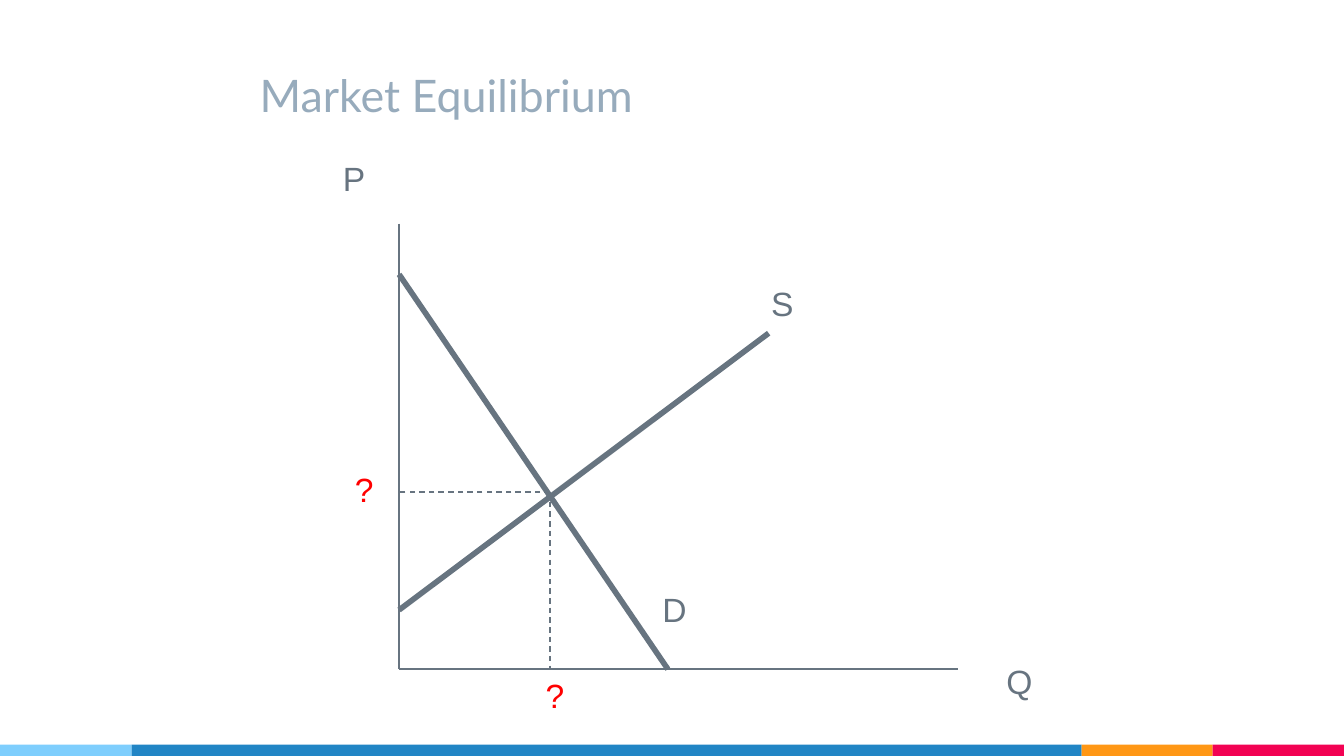
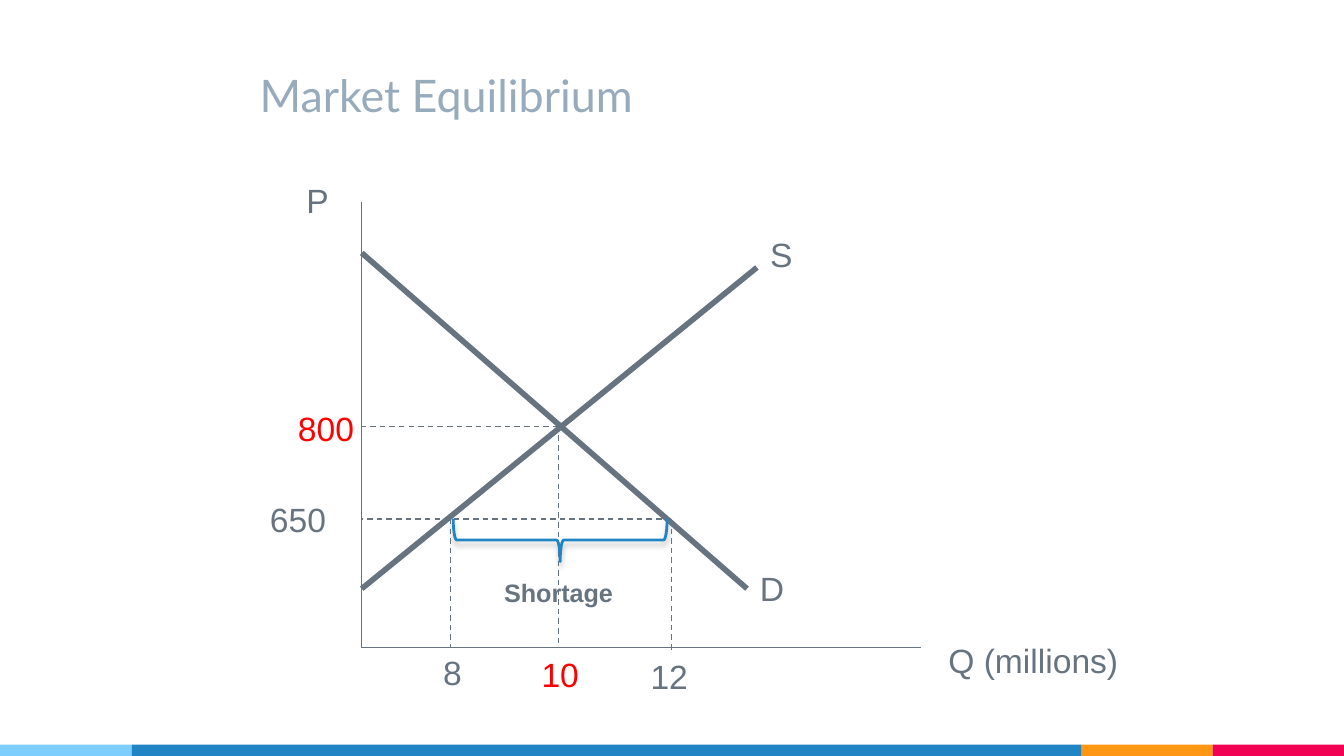
import dataclasses

import lxml.etree
import pptx
import pptx.dml.color
import pptx.enum.dml
import pptx.enum.shapes
import pptx.enum.text
import pptx.oxml.ns
import pptx.util

Pt = pptx.util.Pt
qn = pptx.oxml.ns.qn
SHAPES = pptx.enum.shapes.MSO_SHAPE


@dataclasses.dataclass(frozen=True)
class Theme:
    ink: str = "677480"
    unknown: str = "FF0000"
    title: str = "97ABBC"
    sky: str = "7ECEFD"
    blue: str = "2185C5"
    orange: str = "FF9715"
    pink: str = "F20253"
    shadow: str = "808080"
    title_font: str = "Lato"
    body_font: str = "Arial"
    title_size: float = 24
    label_size: float = 18
    note_size: float = 13.5
    thin: float = 0.75
    brace_line: float = 1.5
    thick: float = 3


THEME = Theme()
SLIDE_WIDTH, SLIDE_HEIGHT = 720, 405
BAND_HEIGHT = 6
BAND_EDGES = (0, 70.5, 579.5, 649.6, SLIDE_WIDTH)
BAND_COLORS = (THEME.sky, THEME.blue, THEME.orange, THEME.pink)
LABEL_HEIGHT = 29


def rgb(value):
    return pptx.dml.color.RGBColor.from_string(value)


def set_all(target, values):
    for attribute, value in values.items():
        setattr(target, attribute, value)


def add_text(slide, text, box, font, frame_format, align=None):
    frame = slide.shapes.add_textbox(*map(Pt, box)).text_frame
    set_all(frame, frame_format)
    paragraph = frame.paragraphs[0]
    paragraph.alignment = align
    run = paragraph.add_run()
    run.text = text
    color = font.pop("color")
    set_all(run.font, font)
    run.font.color.rgb = rgb(color)


def add_title(slide, text):
    font = {"name": THEME.title_font, "size": Pt(THEME.title_size), "color": THEME.title}
    margins = {f"margin_{side}": Pt(7.2) for side in ("left", "top", "right", "bottom")}
    frame_format = {"word_wrap": True,
                    "vertical_anchor": pptx.enum.text.MSO_ANCHOR.BOTTOM, **margins}
    add_text(slide, text, (132, 13.7, 475, 58.3), font, frame_format)


def add_label(slide, text, left, top, width, color=THEME.ink):
    font = {"name": THEME.body_font, "size": Pt(THEME.label_size), "color": color}
    frame_format = {"word_wrap": False,
                    "auto_size": pptx.enum.text.MSO_AUTO_SIZE.SHAPE_TO_FIT_TEXT}
    add_text(slide, text, (left, top, width, LABEL_HEIGHT), font, frame_format)


def add_note(slide, text, box):
    font = {"name": THEME.body_font, "size": Pt(THEME.note_size),
            "bold": True, "color": THEME.ink}
    add_text(slide, text, box, font, {"word_wrap": True},
             pptx.enum.text.PP_ALIGN.CENTER)


def add_line(slide, start, end, width=THEME.thin, dash=None):
    line = slide.shapes.add_connector(
        pptx.enum.shapes.MSO_CONNECTOR.STRAIGHT, *map(Pt, (*start, *end)))
    line.line.color.rgb = rgb(THEME.ink)
    set_all(line.line, {"width": Pt(width), "dash_style": dash})
    lxml.etree.SubElement(line._element.spPr, qn("a:effectLst"))


def add_curve(slide, start, end):
    add_line(slide, start, end, THEME.thick)


def add_guide(slide, start, end):
    add_line(slide, start, end, dash=pptx.enum.dml.MSO_LINE.DASH)


def add_axes(slide, origin, top, right):
    add_line(slide, (origin[0], top), origin)
    add_line(slide, origin, (right, origin[1]))


def add_brace(slide, box):
    """Draw a brace that opens upwards and casts a soft shadow."""
    brace = slide.shapes.add_shape(SHAPES.LEFT_BRACE, *map(Pt, box))
    brace.rotation = 270
    brace.adjustments[0] = 0.083
    brace.fill.background()
    brace.line.color.rgb = rgb(THEME.blue)
    brace.line.width = Pt(THEME.brace_line)
    brace.shadow.inherit = False
    effects = brace._element.spPr.find(qn("a:effectLst"))
    shadow = lxml.etree.SubElement(
        effects, qn("a:outerShdw"), blurRad=str(Pt(3)), dist=str(Pt(2.4)),
        dir="5400000", rotWithShape="0")
    color = lxml.etree.SubElement(shadow, qn("a:srgbClr"), val=THEME.shadow)
    lxml.etree.SubElement(color, qn("a:alpha"), val="45000")


def add_bands(slide):
    for left, right, color in zip(BAND_EDGES, BAND_EDGES[1:], BAND_COLORS):
        band = slide.shapes.add_shape(
            SHAPES.RECTANGLE, Pt(left), Pt(SLIDE_HEIGHT - BAND_HEIGHT),
            Pt(right - left), Pt(BAND_HEIGHT))
        band.shadow.inherit = False
        band.fill.solid()
        band.fill.fore_color.rgb = rgb(color)
        band.line.fill.background()


def new_slide(deck, title):
    slide = deck.slides.add_slide(deck.slide_layouts[6])
    add_bands(slide)
    add_title(slide, title)
    return slide


def build_unknown_equilibrium(deck):
    slide = new_slide(deck, "Market Equilibrium")
    origin = axis_x, axis_y = 213.8, 358.5
    balance = balance_x, balance_y = 294.6, 263.7
    add_axes(slide, origin, top=119.8, right=513.4)
    add_curve(slide, (axis_x, 147), (357.8, axis_y))
    add_curve(slide, (axis_x, 326.8), (411.8, 178.5))
    add_guide(slide, balance, (balance_x, axis_y))
    add_guide(slide, balance, (axis_x, balance_y))
    add_label(slide, "P", 176.6, 80.8, 26.6)
    add_label(slide, "Q", 532, 350.8, 28.8)
    add_label(slide, "?", 285.3, 358, 24.5, THEME.unknown)
    add_label(slide, "?", 183, 247.8, 24.5, THEME.unknown)
    add_label(slide, "D", 347.7, 311.8, 27.4)
    add_label(slide, "S", 406.1, 147.8, 26.6)


def build_shortage(deck):
    slide = new_slide(deck, "Market Equilibrium")
    origin = axis_x, axis_y = 193.8, 347
    balance_x, balance_y = 299.2, 228.5
    supplied_x, demanded_x, low_price_y = 241.5, 359.6, 278
    add_axes(slide, origin, top=108.5, right=493.6)
    add_curve(slide, (axis_x, 135.5), (400.2, 315.4))
    add_curve(slide, (axis_x, 315.4), (405.5, 143.3))
    add_guide(slide, (balance_x, 233.3), (balance_x, axis_y))
    add_guide(slide, (balance_x, balance_y), (axis_x, balance_y))
    add_guide(slide, (demanded_x, low_price_y), (axis_x, low_price_y))
    add_guide(slide, (supplied_x, low_price_y), (supplied_x, axis_y))
    add_guide(slide, (demanded_x, low_price_y), (demanded_x, 349))
    add_label(slide, "P", 157, 93, 26.6)
    add_label(slide, "Q (millions)", 501, 339.3, 106.6)
    add_label(slide, "800", 152.5, 214.8, 44.6, THEME.unknown)
    add_label(slide, "650", 137.5, 263.6, 44.6)
    add_label(slide, "8", 230.3, 345.6, 24.5)
    add_label(slide, "10", 283, 346.9, 34.6, THEME.unknown)
    add_label(slide, "12", 341.4, 348, 34.6)
    add_label(slide, "D", 400, 300.8, 27.4)
    add_label(slide, "S", 405.5, 121.6, 26.6)
    add_brace(slide, (288.6, 232, 23, 114.6))
    add_note(slide, "Shortage", (260, 306, 78.5, 23.6))


def main():
    deck = pptx.Presentation()
    set_all(deck, {"slide_width": Pt(SLIDE_WIDTH), "slide_height": Pt(SLIDE_HEIGHT)})
    build_unknown_equilibrium(deck)
    build_shortage(deck)
    deck.save("out.pptx")


if __name__ == "__main__":
    main()
